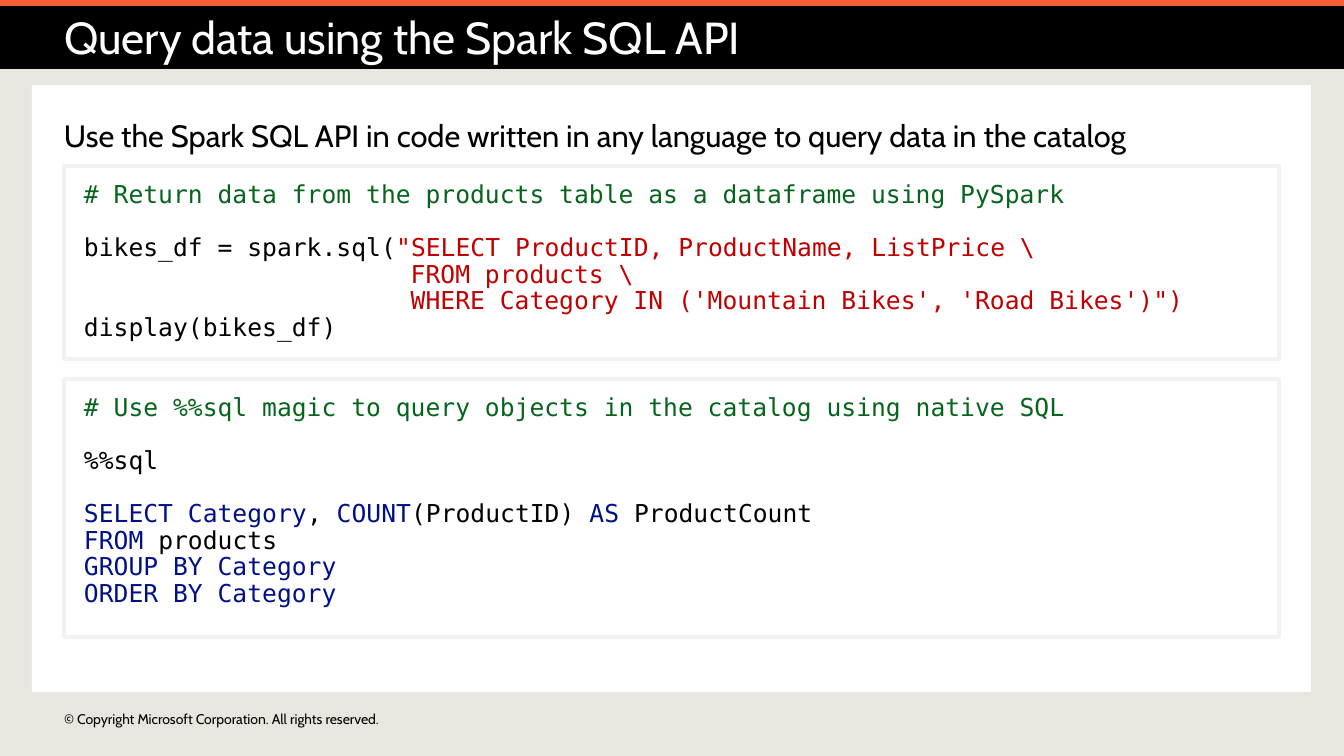
"""Build the slide on querying data with the Spark SQL API."""
from copy import deepcopy

from pptx import Presentation
from pptx.dml.color import RGBColor
from pptx.enum.shapes import MSO_SHAPE
from pptx.enum.text import MSO_ANCHOR, PP_ALIGN
from pptx.oxml.ns import qn
from pptx.util import Pt

RECTANGLE = MSO_SHAPE.RECTANGLE
TOP, MIDDLE = MSO_ANCHOR.TOP, MSO_ANCHOR.MIDDLE
LEFT = PP_ALIGN.LEFT

SLIDE_WIDTH, SLIDE_HEIGHT = 1344, 756
EMU_PER_PX = 12192000 / SLIDE_WIDTH
MARGIN, CONTENT_WIDTH = 64, 1215
BODY_FONT, CODE_FONT = "Cabin", "DejaVu Sans Mono"
CODE_SIZE, CODE_LEADING, CODE_GAP = 17.6, 0.9, 19

COLORS = {
    "background": "E8E6DF",
    "panel": "FFFFFF",
    "banner": "000000",
    "accent": "FE5B38",
    "title": "FFFFFF",
    "plain": "000000",
    "border": "F2F2F2",
    "comment": "07641D",
    "string": "C00000",
    "keyword": "001188",
}

INDENT = " " * 22
PYSPARK_CODE = [
    (0, [("comment", "# Return data from the products table as a dataframe using PySpark")]),
    (CODE_GAP, [("plain", "bikes_df = spark.sql("),
                ("string", '"SELECT ProductID, ProductName, ListPrice \\')]),
    (0, [("string", INDENT + "FROM products \\")]),
    (0, [("string", INDENT + "WHERE Category IN ('Mountain Bikes', 'Road Bikes')\")")]),
    (0, [("plain", "display(bikes_df)")]),
]
SQL_CODE = [
    (0, [("comment", "# Use %%sql magic to query objects in the catalog using native SQL")]),
    (CODE_GAP, [("plain", "%%sql")]),
    (CODE_GAP, [("keyword", "SELECT Category"), ("plain", ", "), ("keyword", "COUNT"),
                ("plain", "(ProductID) "), ("keyword", "AS "), ("plain", "ProductCount")]),
    (0, [("keyword", "FROM"), ("plain", " products")]),
    (0, [("keyword", "GROUP BY Category")]),
    (0, [("keyword", "ORDER BY Category")]),
]


def px(length):
    """Turn whole pixels into EMU."""
    return round(length * EMU_PER_PX)


def color(name):
    """Look up a named colour."""
    return RGBColor.from_string(COLORS[name])


def apply_format(target, values):
    """Set each format value on the target."""
    for attribute, value in values.items():
        setattr(target, attribute, value)


def format_frame(frame, insets, anchor=TOP):
    """Set wrapping, anchor and the left, top, right and bottom insets."""
    sides = ("margin_left", "margin_top", "margin_right", "margin_bottom")
    margins = dict(zip(sides, map(px, insets)))
    apply_format(frame, {"word_wrap": True, "vertical_anchor": anchor, **margins})


def add_run(paragraph, text, font, size, color_name):
    """Append a run in the given font, size and colour."""
    run = paragraph.add_run()
    run.text = text
    apply_format(run.font, {"name": font, "size": Pt(size)})
    run.font.color.rgb = color(color_name)


def add_panel(slide, box, fill_name="panel"):
    """Add a filled rectangle without outline or shadow."""
    panel = slide.shapes.add_shape(RECTANGLE, *map(px, box))
    panel.shadow.inherit = False
    panel.fill.solid()
    panel.fill.fore_color.rgb = color(fill_name)
    panel.line.fill.background()
    return panel


def add_label(slide, box, text, size, anchor=TOP):
    """Add a line of body text without insets."""
    label = slide.shapes.add_textbox(*map(px, box))
    format_frame(label.text_frame, (0, 0, 0, 0), anchor)
    add_run(label.text_frame.paragraphs[0], text, BODY_FONT, size, "plain")


def add_banner(slide, box, text):
    """Add the title banner with its accent stripe as a hard gradient stop."""
    banner = add_panel(slide, box, "banner")
    banner.fill.gradient()
    banner.fill.gradient_angle = 90
    stop_list = next(banner.element.spPr.iter(qn("a:gsLst")))
    stop_list.append(deepcopy(stop_list[-1]))
    stops = ((0, "banner"), (0.92, "banner"), (0.92, "accent"))
    for stop, (position, name) in zip(banner.fill.gradient_stops, stops):
        stop.position = position
        stop.color.rgb = color(name)
    format_frame(banner.text_frame, (MARGIN, 10, MARGIN, 5))
    title = banner.text_frame.paragraphs[0]
    title.alignment = LEFT
    add_run(title, text, BODY_FONT, 32, "title")


def add_code(slide, top, height, lines):
    """Add an outlined code box with coloured tokens."""
    code_box = add_panel(slide, (MARGIN, top, CONTENT_WIDTH, height))
    code_box.line.color.rgb = color("border")
    code_box.line.width = Pt(3)
    frame = code_box.text_frame
    format_frame(frame, (20, 16, 20, 16))
    for index, (gap, tokens) in enumerate(lines):
        code_line = frame.add_paragraph() if index else frame.paragraphs[0]
        apply_format(code_line, {"alignment": LEFT, "line_spacing": CODE_LEADING,
                                 "space_before": Pt(gap)})
        for kind, text in tokens:
            add_run(code_line, text, CODE_FONT, CODE_SIZE, kind)


def main():
    """Build and save the slide."""
    deck = Presentation()
    apply_format(deck, {"slide_width": px(SLIDE_WIDTH), "slide_height": px(SLIDE_HEIGHT)})
    slide = deck.slides.add_slide(deck.slide_layouts[6])
    slide.background.fill.solid()
    slide.background.fill.fore_color.rgb = color("background")

    add_label(slide, (MARGIN, 708, 458, 22),
              "© Copyright Microsoft Corporation. All rights reserved.", 10, MIDDLE)
    add_panel(slide, (32, 85, 1279, 607))
    add_banner(slide, (0, 0, SLIDE_WIDTH, 69), "Query data using the Spark SQL API")
    add_label(slide, (MARGIN, 117, CONTENT_WIDTH, 37),
              "Use the Spark SQL API in code written in any language to query data in the catalog",
              22)
    add_code(slide, 166, 193, PYSPARK_CODE)
    add_code(slide, 379, 258, SQL_CODE)
    deck.save("out.pptx")


if __name__ == "__main__":
    main()
